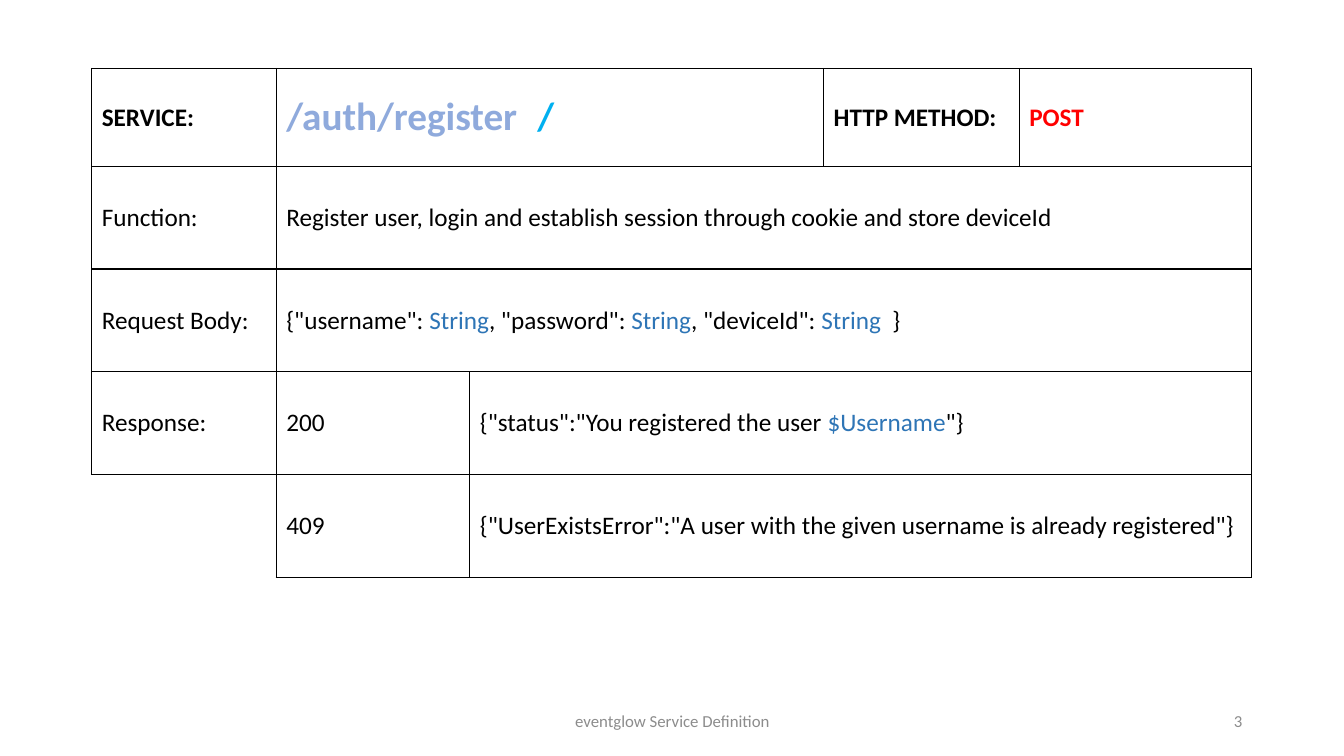
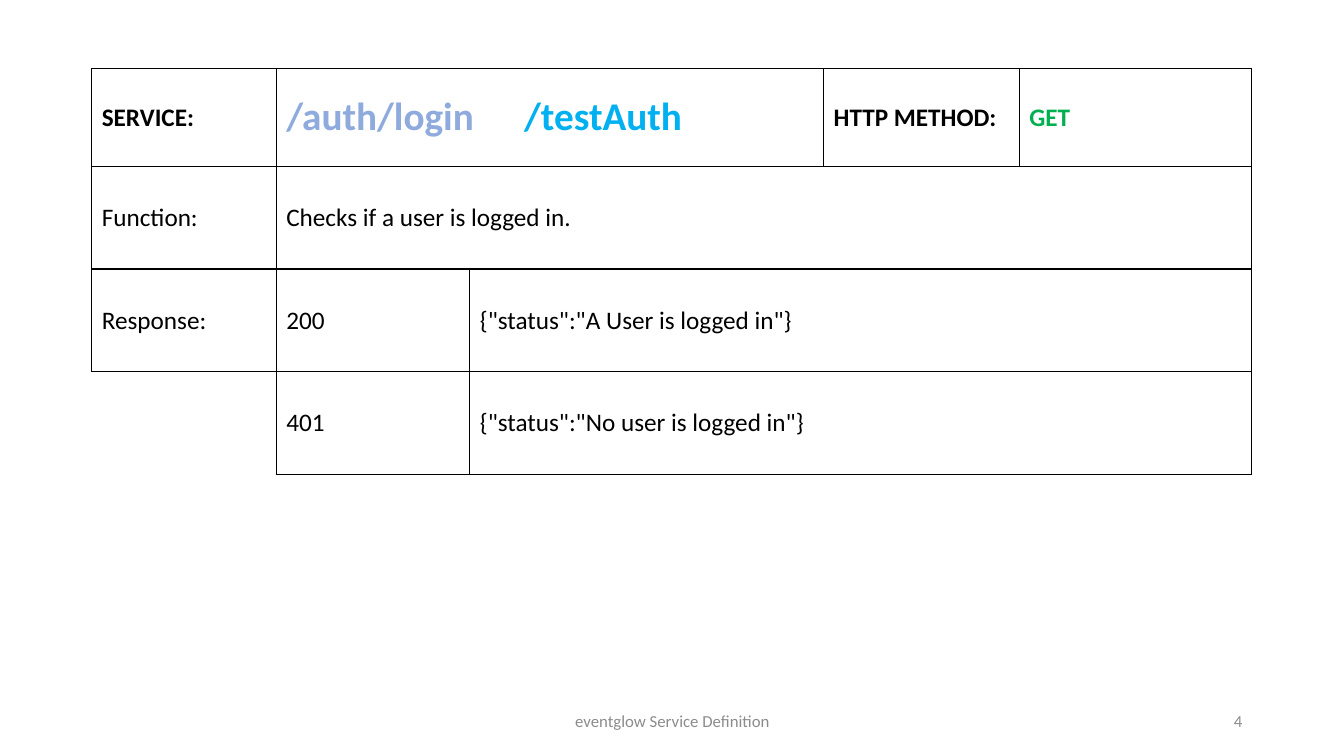
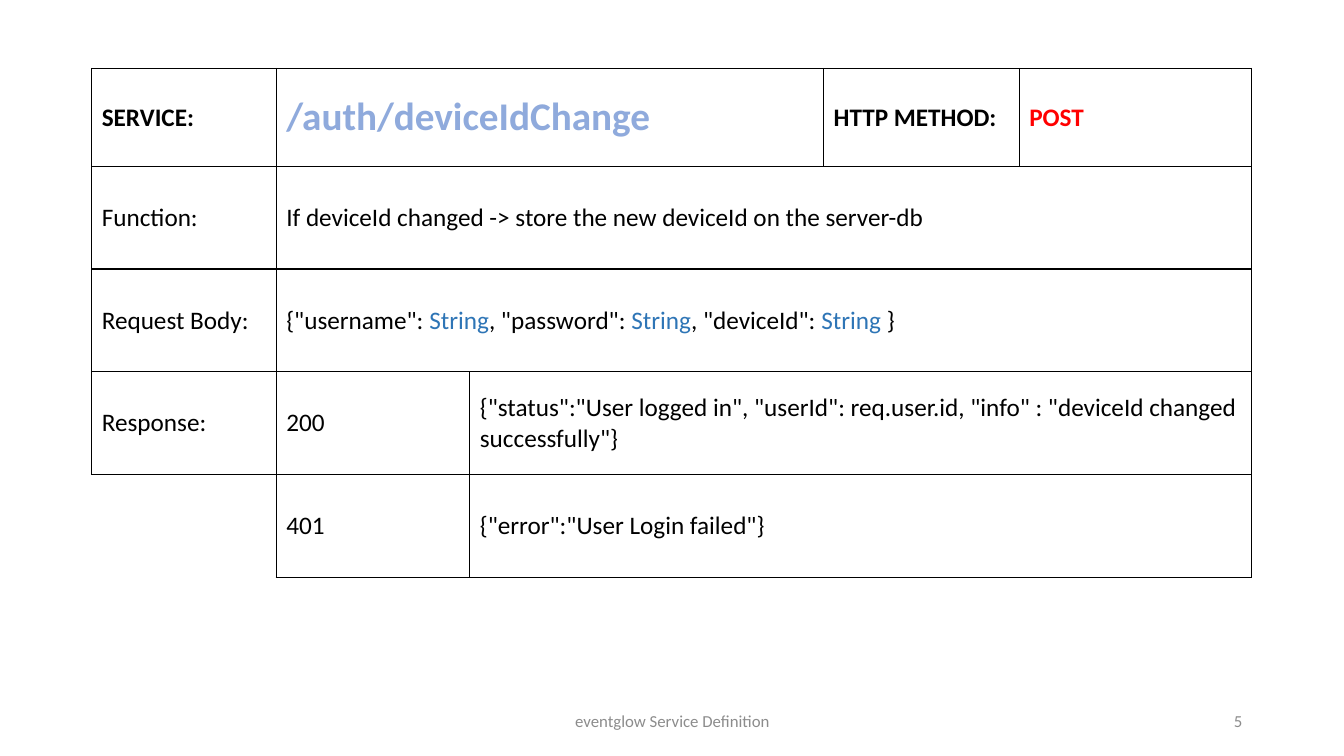
from lxml import etree
from pptx import Presentation
from pptx.dml.color import RGBColor
from pptx.enum.text import MSO_ANCHOR, PP_ALIGN
from pptx.oxml.ns import qn
from pptx.util import Inches, Pt

MIDDLE = MSO_ANCHOR.MIDDLE
CENTER, RIGHT = PP_ALIGN.CENTER, PP_ALIGN.RIGHT
BLANK_LAYOUT = 6
NO_STYLE = "{2D5ABB26-0587-4C30-8999-92F81FD0307C}"
FONT = "Calibri"
BLACK, GRAY, BLUE = "000000", "8C8C8C", "2E75B6"
ROUTE, SUBROUTE = "8FAADC", "00B0F0"
METHOD_COLORS = {"POST": "FF0000", "GET": "00B050"}
FOOTER = "eventglow Service Definition"
FIRST_NUMBER = 3
TEXT_SIZE, ROUTE_SIZE = 18, 28
LABEL_WIDTH, CODE_WIDTH, ROUTE_REST, HTTP_WIDTH, METHOD_WIDTH = 1.83, 1.92, 3.51, 1.94, 2.3
HEADER_HEIGHT, ROW_HEIGHT = 0.97, 1.02

services = [
    {
        "route": "/auth/register", "subroute": "/", "split": 0.57, "method": "POST",
        "function": "Register user, login and establish session through cookie and store deviceId",
        "body_end": "String  ",
        "responses": [
            ("200", [('{"status":"You registered the user ', BLACK), ("$Username", BLUE), ('"}', BLACK)]),
            ("409", [('{"UserExistsError":"A user with the given username is already registered"}', BLACK)]),
        ],
    },
    {
        "route": "/auth/login", "subroute": "/testAuth", "split": 0.44, "method": "GET",
        "function": "Checks if a user is logged in.",
        "body_end": None,
        "responses": [
            ("200", [('{"status":"A User is logged in"}', BLACK)]),
            ("401", [('{"status":"No user is logged in"}', BLACK)]),
        ],
    },
    {
        "route": "/auth/deviceIdChange", "subroute": None, "split": 1.94, "method": "POST",
        "function": "If deviceId changed -> store the new deviceId on the server-db",
        "body_end": "String ",
        "responses": [
            ("200", [('{"status":"User logged in", "userId": req.user.id, '
                      '"info" : "deviceId changed successfully"}', BLACK)]),
            ("401", [('{"error":"User Login failed"}', BLACK)]),
        ],
    },
]


def add_runs(paragraph, runs, size, bold=False):
    for text, color in runs:
        run = paragraph.add_run()
        run.text = text
        for name, value in {"name": FONT, "size": Pt(size), "bold": bold}.items():
            setattr(run.font, name, value)
        run.font.color.rgb = RGBColor.from_string(color)


def set_borders(cell, sides):
    properties = cell._tc.get_or_add_tcPr()
    for side in "LRTB":
        line = etree.SubElement(properties, qn(f"a:ln{side}"), w=str(Pt(1)))
        if side in sides:
            fill = etree.SubElement(line, qn("a:solidFill"))
            etree.SubElement(fill, qn("a:srgbClr"), val=BLACK)
        else:
            etree.SubElement(line, qn("a:noFill"))


presentation = Presentation()
presentation.slide_width = Inches(13.33)
presentation.slide_height = Inches(7.5)

for number, service in enumerate(services, FIRST_NUMBER):
    slide = presentation.slides.add_slide(presentation.slide_layouts[BLANK_LAYOUT])

    for left, width, text, alignment in [(4.42, 4.5, FOOTER, CENTER), (9.42, 3, str(number), RIGHT)]:
        box = slide.shapes.add_textbox(Inches(left), Inches(6.95), Inches(width), Inches(0.4))
        box.text_frame.word_wrap = True
        box.text_frame.vertical_anchor = MIDDLE
        paragraph = box.text_frame.paragraphs[0]
        paragraph.alignment = alignment
        add_runs(paragraph, [(text, GRAY)], 12)

    method = service["method"]
    subroute = [(service["subroute"], SUBROUTE)] if service["subroute"] else []
    rows = [
        [
            (1, [("SERVICE:", BLACK)], TEXT_SIZE, "LRTB"),
            (2, [(service["route"], ROUTE)], ROUTE_SIZE, "LTB"),
            (1, subroute, ROUTE_SIZE, "RTB"),
            (1, [("HTTP METHOD:", BLACK)], TEXT_SIZE, "LRTB"),
            (1, [(method, METHOD_COLORS[method])], TEXT_SIZE, "LRTB"),
        ],
        [
            (1, [("Function:", BLACK)], TEXT_SIZE, "LRTB"),
            (5, [(service["function"], BLACK)], TEXT_SIZE, "LRTB"),
        ],
    ]
    if service["body_end"]:
        body = [
            ('{"username": ', BLACK), ("String", BLUE),
            (', "password": ', BLACK), ("String", BLUE),
            (', "deviceId": ', BLACK), (service["body_end"], BLUE), ("}", BLACK),
        ]
        rows.append([(1, [("Request Body:", BLACK)], TEXT_SIZE, "LRTB"), (5, body, TEXT_SIZE, "LRTB")])
    for index, (code, answer) in enumerate(service["responses"]):
        label = (1, [], TEXT_SIZE, "RT") if index else (1, [("Response:", BLACK)], TEXT_SIZE, "LRTB")
        rows.append([label, (1, [(code, BLACK)], TEXT_SIZE, "LRTB"), (4, answer, TEXT_SIZE, "LRTB")])

    split = service["split"]
    widths = [LABEL_WIDTH, CODE_WIDTH, split, ROUTE_REST - split, HTTP_WIDTH, METHOD_WIDTH]
    heights = [HEADER_HEIGHT] + [ROW_HEIGHT] * (len(rows) - 1)
    frame = slide.shapes.add_table(len(rows), len(widths), Inches(0.91), Inches(0.68),
                                   Inches(sum(widths)), Inches(sum(heights)))
    table = frame.table
    table.first_row = table.horz_banding = False
    table._tbl.tblPr.find(qn("a:tableStyleId")).text = NO_STYLE
    for column, width in zip(table.columns, widths):
        column.width = Inches(width)

    for row_index, (row, height) in enumerate(zip(rows, heights)):
        table.rows[row_index].height = Inches(height)
        column_index = 0
        for span, runs, size, sides in row:
            cell = table.cell(row_index, column_index)
            if span > 1:
                cell.merge(table.cell(row_index, column_index + span - 1))
            cell.vertical_anchor = MIDDLE
            if size == ROUTE_SIZE:
                cell.margin_right = Inches(0)
            set_borders(cell, sides)
            cell.fill.background()
            add_runs(cell.text_frame.paragraphs[0], runs, size, bold=row_index == 0)
            column_index += span

presentation.save("out.pptx")
